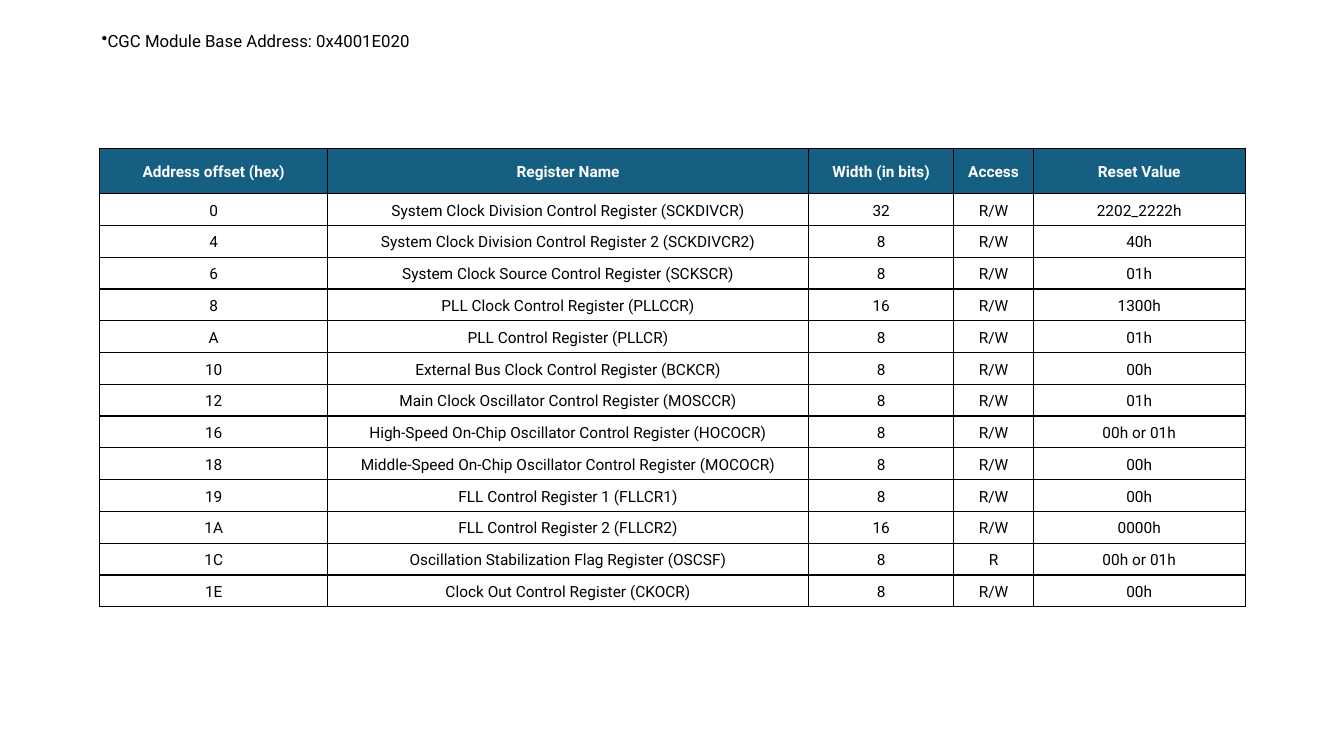
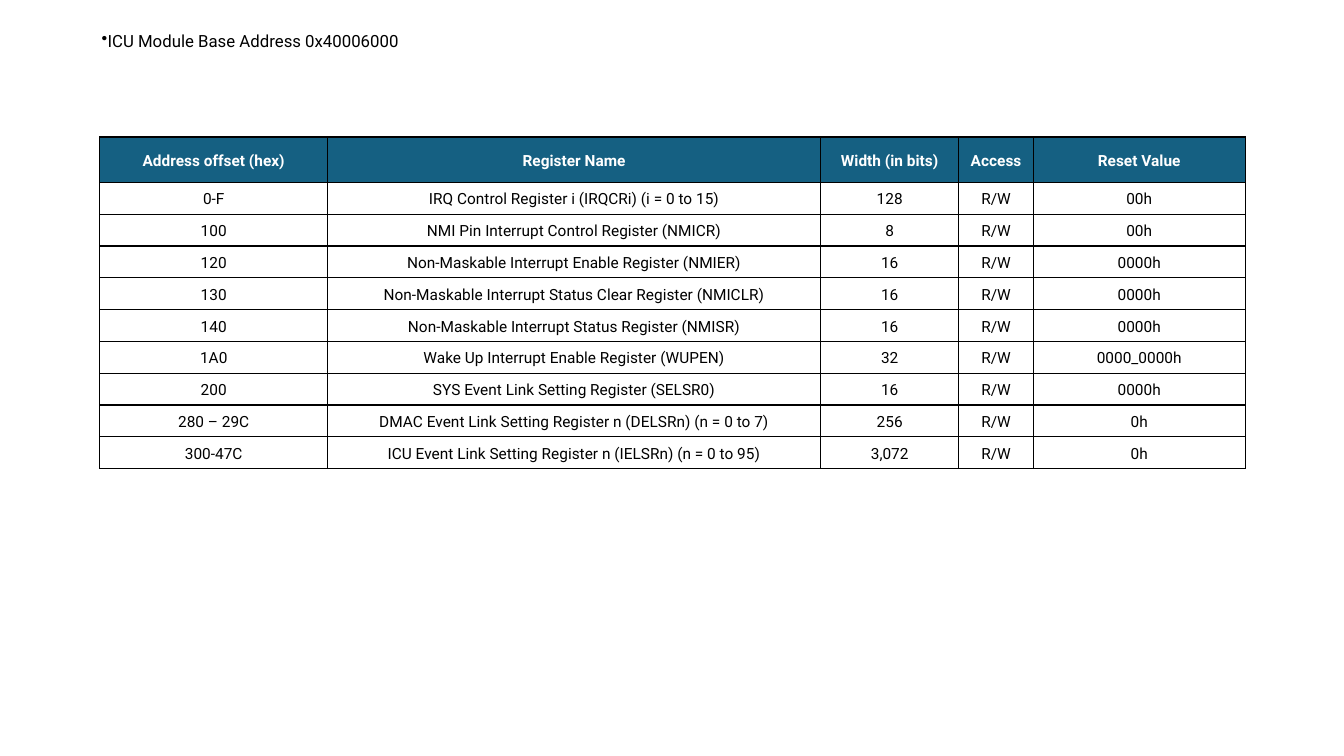
"""Build two slides of microcontroller register maps."""
import pptx
import pptx.dml.color
import pptx.enum.text
import pptx.oxml
import pptx.oxml.ns
import pptx.util

RGBColor = pptx.dml.color.RGBColor
Inches, Pt = pptx.util.Inches, pptx.util.Pt
MIDDLE = pptx.enum.text.MSO_ANCHOR.MIDDLE
CENTER = pptx.enum.text.PP_ALIGN.CENTER

TEAL = RGBColor(0x15, 0x60, 0x82)
WHITE = RGBColor(0xFF, 0xFF, 0xFF)
BLACK = RGBColor(0, 0, 0)
FONT = "Roboto"

LEFT, WIDTH = 0.99, 11.36
HEADER_HEIGHT = 0.45
OFFSET_WIDTH, RESET_WIDTH = 2.26, 2.1
PAD = Inches(0.05)

HEADER = ("Address offset (hex)", "Register Name", "Width (in bits)", "Access", "Reset Value")

MODULES = [
    {
        "title": "CGC Module Base Address: 0x4001E020",
        "top": 1.47, "height": 4.55, "bits_width": 1.44, "access_width": 0.79,
        "registers": [
            ("0", "System Clock Division Control Register (SCKDIVCR)", "32", "R/W", "2202_2222h"),
            ("4", "System Clock Division Control Register 2 (SCKDIVCR2)", "8", "R/W", "40h"),
            ("6", "System Clock Source Control Register (SCKSCR)", "8", "R/W", "01h"),
            ("8", "PLL Clock Control Register (PLLCCR)", "16", "R/W", "1300h"),
            ("A", "PLL Control Register (PLLCR)", "8", "R/W", "01h"),
            ("10", "External Bus Clock Control Register (BCKCR)", "8", "R/W", "00h"),
            ("12", "Main Clock Oscillator Control Register (MOSCCR)", "8", "R/W", "01h"),
            ("16", "High-Speed On-Chip Oscillator Control Register (HOCOCR)", "8", "R/W", "00h or 01h"),
            ("18", "Middle-Speed On-Chip Oscillator Control Register (MOCOCR)", "8", "R/W", "00h"),
            ("19", "FLL Control Register 1 (FLLCR1)", "8", "R/W", "00h"),
            ("1A", "FLL Control Register 2 (FLLCR2)", "16", "R/W", "0000h"),
            ("1C", "Oscillation Stabilization Flag Register (OSCSF)", "8", "R", "00h or 01h"),
            ("1E", "Clock Out Control Register (CKOCR)", "8", "R/W", "00h"),
        ],
    },
    {
        "title": "ICU Module Base Address 0x40006000",
        "top": 1.36, "height": 3.29, "bits_width": 1.37, "access_width": 0.74,
        "registers": [
            ("0-F", "IRQ Control Register i (IRQCRi) (i = 0 to 15)", "128", "R/W", "00h"),
            ("100", "NMI Pin Interrupt Control Register (NMICR)", "8", "R/W", "00h"),
            ("120", "Non-Maskable Interrupt Enable Register (NMIER)", "16", "R/W", "0000h"),
            ("130", "Non-Maskable Interrupt Status Clear Register (NMICLR)", "16", "R/W", "0000h"),
            ("140", "Non-Maskable Interrupt Status Register (NMISR)", "16", "R/W", "0000h"),
            ("1A0", "Wake Up Interrupt Enable Register (WUPEN)", "32", "R/W", "0000_0000h"),
            ("200", "SYS Event Link Setting Register (SELSR0)", "16", "R/W", "0000h"),
            ("280 – 29C", "DMAC Event Link Setting Register n (DELSRn) (n = 0 to 7)", "256", "R/W", "0h"),
            ("300-47C", "ICU Event Link Setting Register n (IELSRn) (n = 0 to 95)", "3,072", "R/W", "0h"),
        ],
    },
]


def style_run(r, size, color, bold=False):
    r.font.name = FONT
    r.font.size = Pt(size)
    r.font.bold = bold
    r.font.color.rgb = color


def add_borders(cell):
    tc_pr = cell._tc.get_or_add_tcPr()
    for i, side in enumerate("LRTB"):
        tc_pr.insert(i, pptx.oxml.parse_xml(
            f'<a:ln{side} {pptx.oxml.ns.nsdecls("a")} w="{Pt(1)}"><a:solidFill>'
            f'<a:srgbClr val="{BLACK}"/></a:solidFill></a:ln{side}>'))


def add_title(s, title):
    tf = s.shapes.add_textbox(Inches(0.91), 0, Inches(8.86), Inches(0.81)).text_frame
    tf.word_wrap = True
    tf.vertical_anchor = MIDDLE
    tf.margin_top = tf.margin_bottom = 0
    p = tf.paragraphs[0]
    p.text = title
    style_run(p.runs[0], 12, BLACK)
    p._p.get_or_add_pPr().append(pptx.oxml.parse_xml(
        f'<a:buChar {pptx.oxml.ns.nsdecls("a")} char="•"/>'))


def fill_cell(cell, text, is_header):
    cell.margin_left = cell.margin_right = cell.margin_top = cell.margin_bottom = PAD
    cell.vertical_anchor = MIDDLE
    cell.fill.solid()
    cell.fill.fore_color.rgb = TEAL if is_header else WHITE
    add_borders(cell)
    p = cell.text_frame.paragraphs[0]
    p.text = text
    p.alignment = CENTER
    p.line_spacing = 1.15
    style_run(p.runs[0], 11, WHITE if is_header else BLACK, is_header)


def add_register_table(s, module):
    rows = [HEADER] + module["registers"]
    table = s.shapes.add_table(
        len(rows), len(HEADER), Inches(LEFT), Inches(module["top"]),
        Inches(WIDTH), Inches(module["height"])).table
    table.horz_banding = False

    side_widths = (OFFSET_WIDTH, module["bits_width"], module["access_width"], RESET_WIDTH)
    name_width = WIDTH - sum(side_widths)
    for column, width in zip(table.columns, (side_widths[0], name_width, *side_widths[1:])):
        column.width = Inches(width)

    row_height = (module["height"] - HEADER_HEIGHT) / len(module["registers"])
    for i, values in enumerate(rows):
        table.rows[i].height = Inches(row_height if i else HEADER_HEIGHT)
        for j, value in enumerate(values):
            fill_cell(table.cell(i, j), value, i == 0)


def main():
    prs = pptx.Presentation()
    prs.slide_width, prs.slide_height = Inches(13.33), Inches(7.5)
    for module in MODULES:
        s = prs.slides.add_slide(prs.slide_layouts[6])
        add_register_table(s, module)
        add_title(s, module["title"])
    prs.save("out.pptx")


if __name__ == "__main__":
    main()
